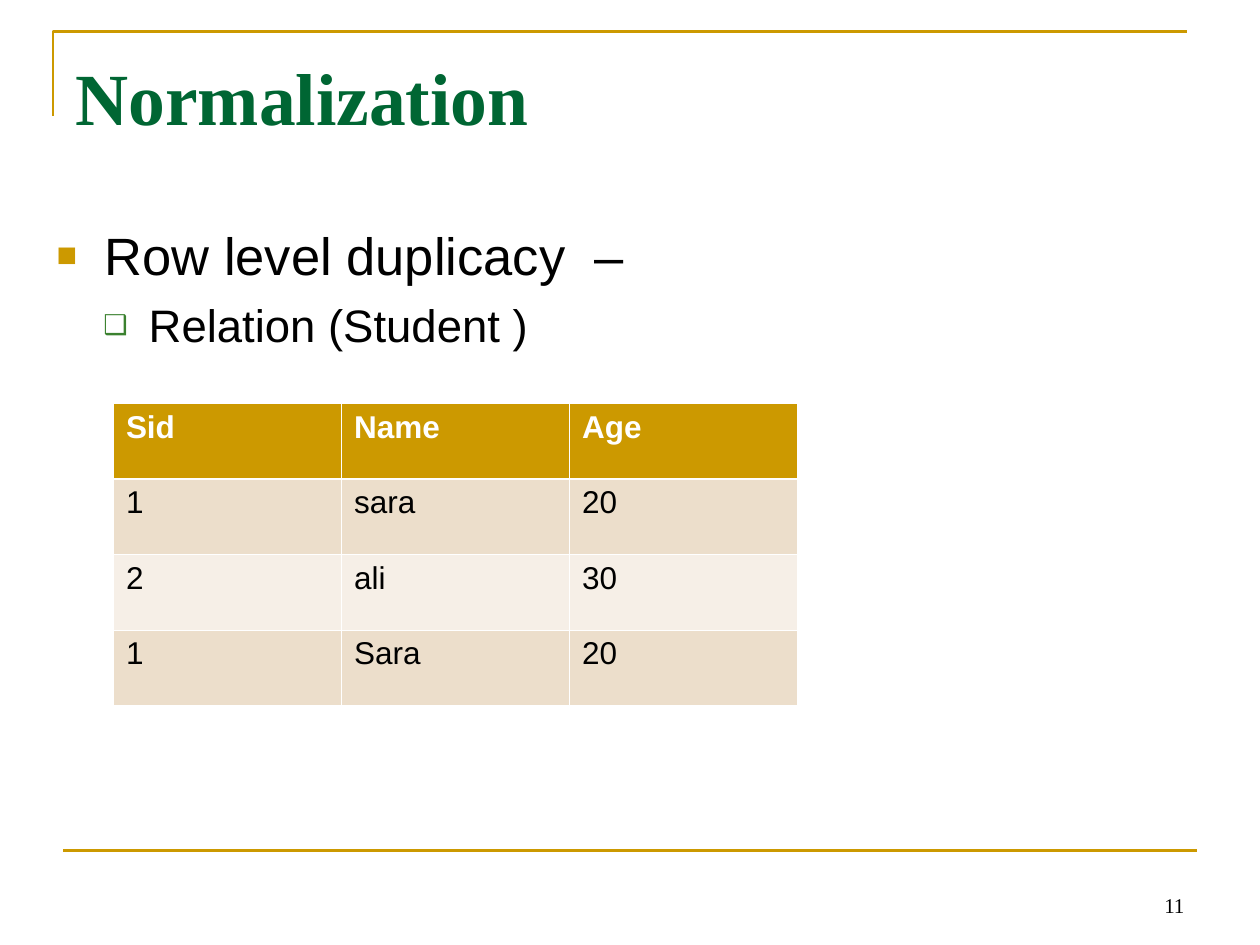
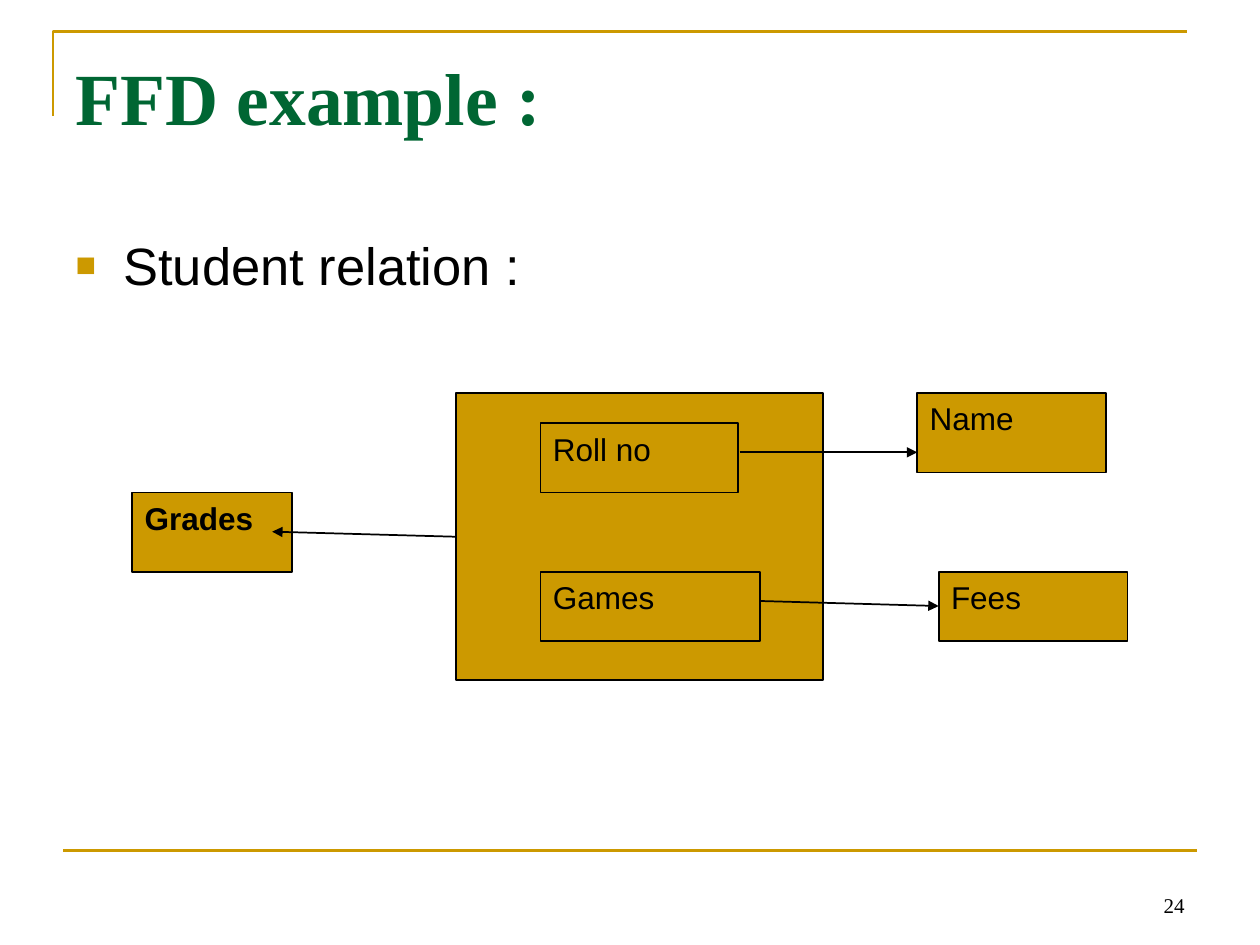
from dataclasses import dataclass
from typing import Any, NamedTuple

from lxml import etree
from pptx import Presentation
from pptx import util as u
from pptx.dml import color
from pptx.enum import shapes, text
from pptx.oxml import ns

SCALE = 9144


@dataclass(frozen=True)
class Theme:
    gold: str = "CC9900"
    green: str = "006633"
    leaf: str = "3B812F"
    black: str = "000000"
    white: str = "FFFFFF"
    sand: str = "ECDECB"
    cream: str = "F6EFE7"
    sans: str = "Arial"
    serif: str = "Times New Roman"
    head: int = 42
    main: int = 30
    sub: int = 26
    label: int = 18
    foot: int = 12


T = Theme()


class Area(NamedTuple):
    left: int
    top: int
    width: int
    height: int


class Level(NamedTuple):
    size: int
    mark: str
    tint: str
    share: int
    indent: int
    hang: int
    before: float


class Box(NamedTuple):
    area: Area
    label: str = ""
    bold: bool = False


class Line(NamedTuple):
    x1: int
    y1: int
    x2: int
    y2: int


LEVELS = (
    Level(T.main, "■", T.gold, 65, 38, 38, 7.5),
    Level(T.sub, "❑", T.leaf, 60, 73, 36, 6.5),
)
HEAD = Area(50, 30, 900, 125)
FOOT = Area(717, 683, 233, 50)
RULE = Line(50, 675, 950, 675)
CORNER = ((42, 92), (42, 25), (942, 25))

GRID = Area(90, 320, 543, 240)
ROWS = (
    ("Sid", "Name", "Age"),
    ("1", "sara", "20"),
    ("2", "ali", "30"),
    ("1", "Sara", "20"),
)
BOXES = (
    Box(Area(362, 312, 291, 228)),
    Box(Area(429, 336, 157, 55), "Roll no"),
    Box(Area(429, 454, 174, 55), "Games"),
    Box(Area(105, 391, 127, 63), "Grades", True),
    Box(Area(728, 312, 150, 63), "Name"),
    Box(Area(745, 454, 150, 55), "Fees"),
)
ARROWS = (
    Line(587, 359, 728, 359),
    Line(603, 477, 745, 481),
    Line(362, 426, 216, 422),
)


def px(value: int) -> u.Emu:
    return u.Emu(value * SCALE)


def span(area: tuple) -> list:
    return [px(value) for value in area]


def rgb(code: str) -> color.RGBColor:
    return color.RGBColor.from_string(code)


def put(item: Any, values: dict) -> None:
    for key, value in values.items():
        setattr(item, key, value)


def node(parent: Any, tag: str, **values: Any) -> Any:
    child = etree.SubElement(parent, ns.qn(f"a:{tag}"))
    for key, value in values.items():
        child.set(key, str(value))
    return child


def place(item: Any, area: Area) -> None:
    put(item, dict(zip(("left", "top", "width", "height"), span(area))))


def frame(item: Any, top: int = 5, anchor: Any = text.MSO_ANCHOR.TOP) -> Any:
    body = item.text_frame
    put(body, {
        "word_wrap": True, "auto_size": text.MSO_AUTO_SIZE.NONE,
        "vertical_anchor": anchor, "margin_left": px(10),
        "margin_right": px(10), "margin_top": px(top),
        "margin_bottom": px(5),
    })
    return body


def write(para: Any, words: str, size: int, tint: str = T.black,
          face: str = T.sans, bold: bool = False,
          align: Any = text.PP_ALIGN.LEFT) -> None:
    para.alignment = align
    run = para.add_run()
    run.text = words
    put(run.font, {"size": u.Pt(size), "name": face, "bold": bold})
    run.font.color.rgb = rgb(tint)


def stroke(item: Any, tint: str, width: float) -> None:
    item.line.color.rgb = rgb(tint)
    item.line.width = u.Pt(width)


def link(slide: Any, line: Line, tint: str, width: float,
         arrow: bool = False) -> None:
    item = slide.shapes.add_connector(shapes.MSO_CONNECTOR.STRAIGHT,
                                      *span(line))
    stroke(item, tint, width)
    if arrow:
        node(item.line._get_or_add_ln(), "tailEnd", type="triangle")
    node(item._element.spPr, "effectLst")


def base(deck: Any, title: str, number: int) -> Any:
    slide = deck.slides.add_slide(deck.slide_layouts[1])
    pen = slide.shapes.build_freeform(*CORNER[0], scale=SCALE)
    pen.add_line_segments(CORNER[1:], close=False)
    edge = pen.convert_to_shape()
    edge.fill.background()
    edge.shadow.inherit = False
    stroke(edge, T.gold, 1.5)
    link(slide, RULE, T.gold, 1.5)
    head = slide.shapes.title
    place(head, HEAD)
    write(frame(head, 11).paragraphs[0], title, T.head, T.green,
          T.serif, True)
    foot = slide.shapes.add_textbox(*span(FOOT))
    write(frame(foot, anchor=text.MSO_ANCHOR.BOTTOM).paragraphs[0],
          str(number), T.foot, face=T.serif, align=text.PP_ALIGN.RIGHT)
    return slide


def fill_list(slide: Any, area: Area, lines: tuple) -> None:
    item = slide.placeholders[1]
    place(item, area)
    body = frame(item, 6)
    for rank, (words, level) in enumerate(zip(lines, LEVELS)):
        para = body.add_paragraph() if rank else body.paragraphs[0]
        put(para, {"level": rank, "space_before": u.Pt(level.before)})
        write(para, words, level.size)
        props = para._p.get_or_add_pPr()
        props.set("marL", str(px(level.indent)))
        props.set("indent", str(-px(level.hang)))
        node(node(props, "buClr"), "srgbClr", val=level.tint)
        node(props, "buSzPct", val=level.share * 1000)
        node(props, "buFont", typeface=T.sans)
        node(props, "buChar", char=level.mark)


def border(cell: Any, row: int) -> None:
    props = cell._tc.get_or_add_tcPr()
    thick = {"lnT": row == 1, "lnB": row == 0}
    for side in ("lnL", "lnR", "lnT", "lnB"):
        width = u.Pt(1.47 if thick.get(side) else 0.45)
        line = node(props, side, w=int(width))
        node(node(line, "solidFill"), "srgbClr", val=T.white)


def add_grid(slide: Any) -> None:
    table = slide.shapes.add_table(len(ROWS), len(ROWS[0]),
                                   *span(GRID)).table
    for col in table.columns:
        col.width = px(GRID.width // len(ROWS[0]))
    for row, words in enumerate(ROWS):
        table.rows[row].height = px(GRID.height // len(ROWS))
        shade = (T.cream, T.sand)[row % 2] if row else T.gold
        for col, word in enumerate(words):
            cell = table.cell(row, col)
            border(cell, row)
            cell.fill.solid()
            cell.fill.fore_color.rgb = rgb(shade)
            write(cell.text_frame.paragraphs[0], word, T.label,
                  T.black if row else T.white, bold=row == 0)


def add_box(slide: Any, box: Box) -> None:
    item = slide.shapes.add_shape(shapes.MSO_SHAPE.RECTANGLE,
                                  *span(box.area))
    item.shadow.inherit = False
    item.fill.solid()
    item.fill.fore_color.rgb = rgb(T.gold)
    stroke(item, T.black, 1)
    if box.label:
        write(frame(item).paragraphs[0], box.label, T.label, bold=box.bold)


def main() -> None:
    deck = Presentation()
    put(deck, {"slide_width": px(1000), "slide_height": px(750)})
    slide = base(deck, "Normalization", 11)
    fill_list(slide, Area(35, 171, 900, 495),
              ("Row level duplicacy  –", "Relation (Student )"))
    add_grid(slide)
    slide = base(deck, "FFD example :", 24)
    fill_list(slide, Area(50, 179, 900, 495), ("Student relation :",))
    for box in BOXES:
        add_box(slide, box)
    for line in ARROWS:
        link(slide, line, T.black, 1, True)
    deck.save("out.pptx")


if __name__ == "__main__":
    main()
